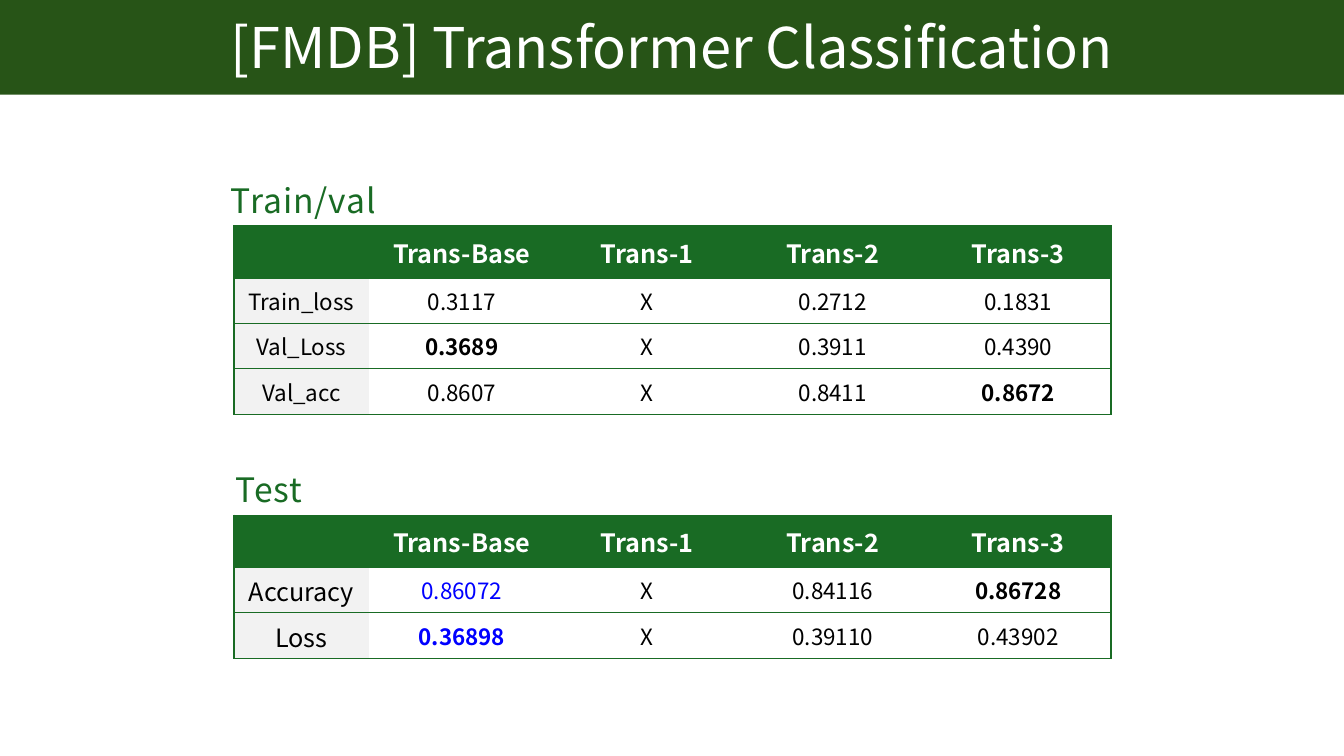
from pptx import Presentation
from pptx import util as u
from pptx.dml.color import RGBColor
from pptx.enum import shapes, text
from pptx.oxml import parse_xml
from pptx.oxml.ns import nsdecls

WIDTH, HEIGHT = 13.33, 7.5
FONT = "Noto Sans CJK KR"
COLORS = {"banner": "275417", "green": "196B24", "label": "F2F2F2",
          "white": "FFFFFF", "black": "000000", "blue": "0000FF"}
NO_GRID_STYLE = "{2D5ABB26-0587-4C30-8999-92F81FD0307C}"
HEADINGS = ["", "Trans-Base", "Trans-1", "Trans-2", "Trans-3"]
TABLE_LEFT = 2.32
COLUMNS = [1.34] + [1.84] * 4
HEADER_ROW, BODY_ROW = 0.52, 0.45


def rgb(name):
    return RGBColor.from_string(COLORS[name])


def write(frame, words, color, **font):
    para = frame.paragraphs[0]
    para.alignment = text.PP_ALIGN.CENTER
    span = para.add_run()
    span.text = words
    span.font.color.rgb = rgb(color)
    for name, value in {"name": FONT, **font}.items():
        setattr(span.font, name, value)
    return span


def add_text(page, box, words, color, size):
    frame = page.shapes.add_textbox(*map(u.Inches, box)).text_frame
    frame.word_wrap = True
    return write(frame, words, color, size=u.Pt(size))


def add_banner(page, box, title):
    left, top, width, height = box
    band = page.shapes.add_shape(shapes.MSO_SHAPE.RECTANGLE, *map(u.Inches, box))
    band.shadow.inherit = False
    band.fill.solid()
    band.fill.fore_color.rgb = rgb("banner")
    band.line.fill.background()
    add_text(page, (left, top + 0.09, width, height - 0.18), title, "white", 40)


def add_borders(cell, sides):
    for side in sides:
        cell._tc.get_or_add_tcPr().append(parse_xml(
            f'<a:ln{side} {nsdecls("a")} w="{u.Pt(1 if side in "LR" else 0.75)}">'
            f'<a:solidFill><a:srgbClr val="{COLORS["green"]}"/></a:solidFill></a:ln{side}>'))


def add_results(page, top, caption, caption_box, rows, bold, blue=(), label_size=16):
    """Caption and table; bold and blue hold (row, column) places of marked values."""
    span = add_text(page, caption_box, caption, "green", 24)
    span.font._element.set("spc", "70")

    heights = [HEADER_ROW] + [BODY_ROW] * len(rows)
    box = (TABLE_LEFT, top, sum(COLUMNS), sum(heights))
    frame = page.shapes.add_table(len(heights), len(COLUMNS), *map(u.Inches, box))
    table = frame.table
    table._tbl.tblPr.find("{*}tableStyleId").text = NO_GRID_STYLE
    for column, width in zip(table.columns, COLUMNS):
        column.width = u.Inches(width)
    for row, height in zip(table.rows, heights):
        row.height = u.Inches(height)

    for r, values in enumerate([HEADINGS] + rows):
        for c, value in enumerate(values):
            cell = table.cell(r, c)
            cell.vertical_anchor = text.MSO_ANCHOR.MIDDLE
            left = "L" if c == 0 else ""
            right = "R" if c == len(COLUMNS) - 1 else ""
            add_borders(cell, left + right + "TB")
            cell.fill.solid()
            if r == 0:
                fill, color, size = "green", "white", 18
            elif c == 0:
                fill, color, size = "label", "black", label_size
            else:
                fill, size = "white", 16
                color = "blue" if (r, c) in blue else "black"
            cell.fill.fore_color.rgb = rgb(fill)
            if value:
                write(cell.text_frame, value, color, size=u.Pt(size),
                      bold=r == 0 or (r, c) in bold)


def main():
    deck = Presentation()
    deck.slide_width, deck.slide_height = u.Inches(WIDTH), u.Inches(HEIGHT)
    page = deck.slides.add_slide(deck.slide_layouts[6])
    add_banner(page, (0, -0.01, WIDTH, 0.95), "[FMDB] Transformer Classification")
    add_results(page, 2.24, "Train/val", (1.8, 1.74, 2.42, 0.5),
                [["Train_loss", "0.3117", "X", "0.2712", "0.1831"],
                 ["Val_Loss", "0.3689", "X", "0.3911", "0.4390"],
                 ["Val_acc", "0.8607", "X", "0.8411", "0.8672"]],
                bold={(2, 1), (3, 4)})
    add_results(page, 5.11, "Test", (1.65, 4.6, 2.04, 0.5),
                [["Accuracy", "0.86072", "X", "0.84116", "0.86728"],
                 ["Loss", "0.36898", "X", "0.39110", "0.43902"]],
                bold={(1, 4), (2, 1)}, blue={(1, 1), (2, 1)}, label_size=18)
    deck.save("out.pptx")


if __name__ == "__main__":
    main()
